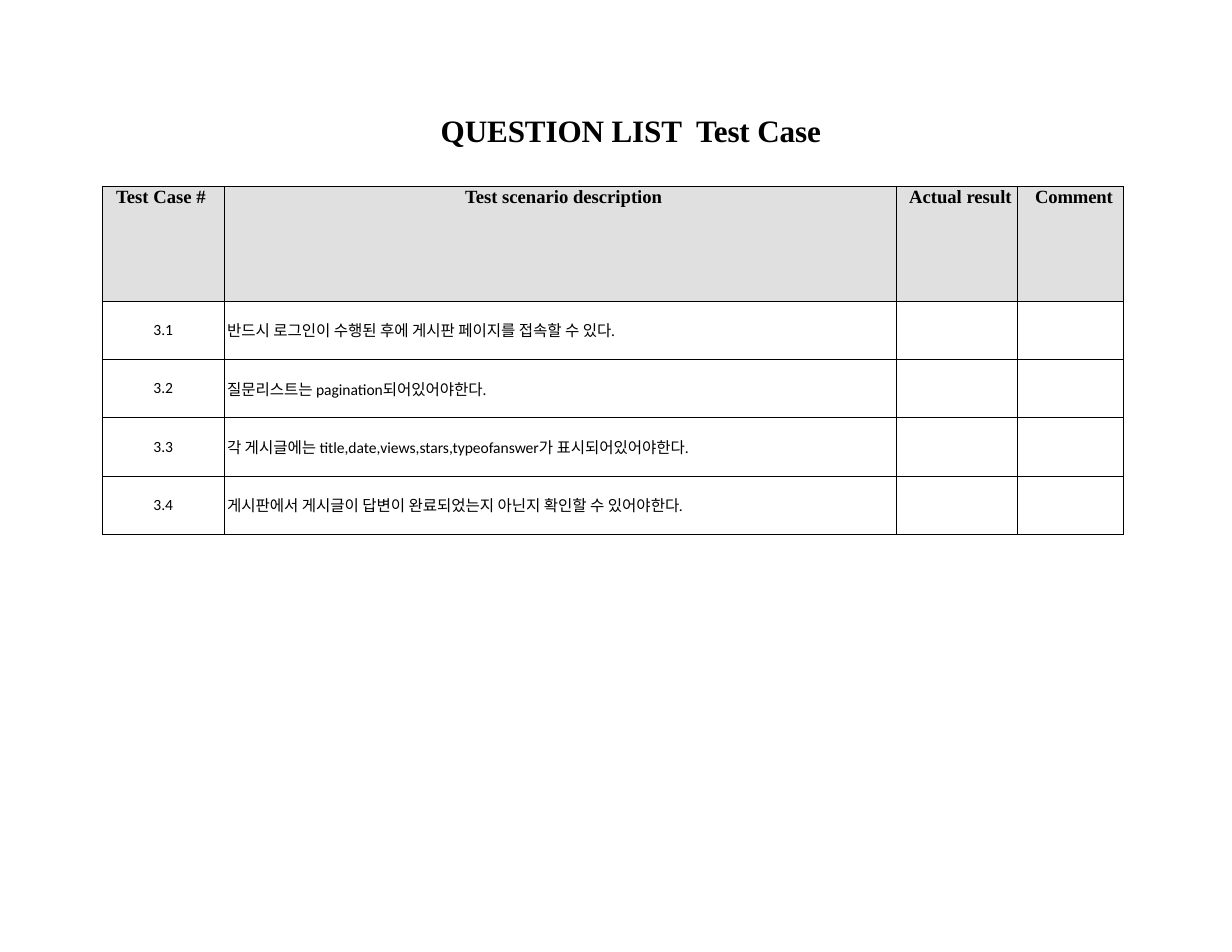
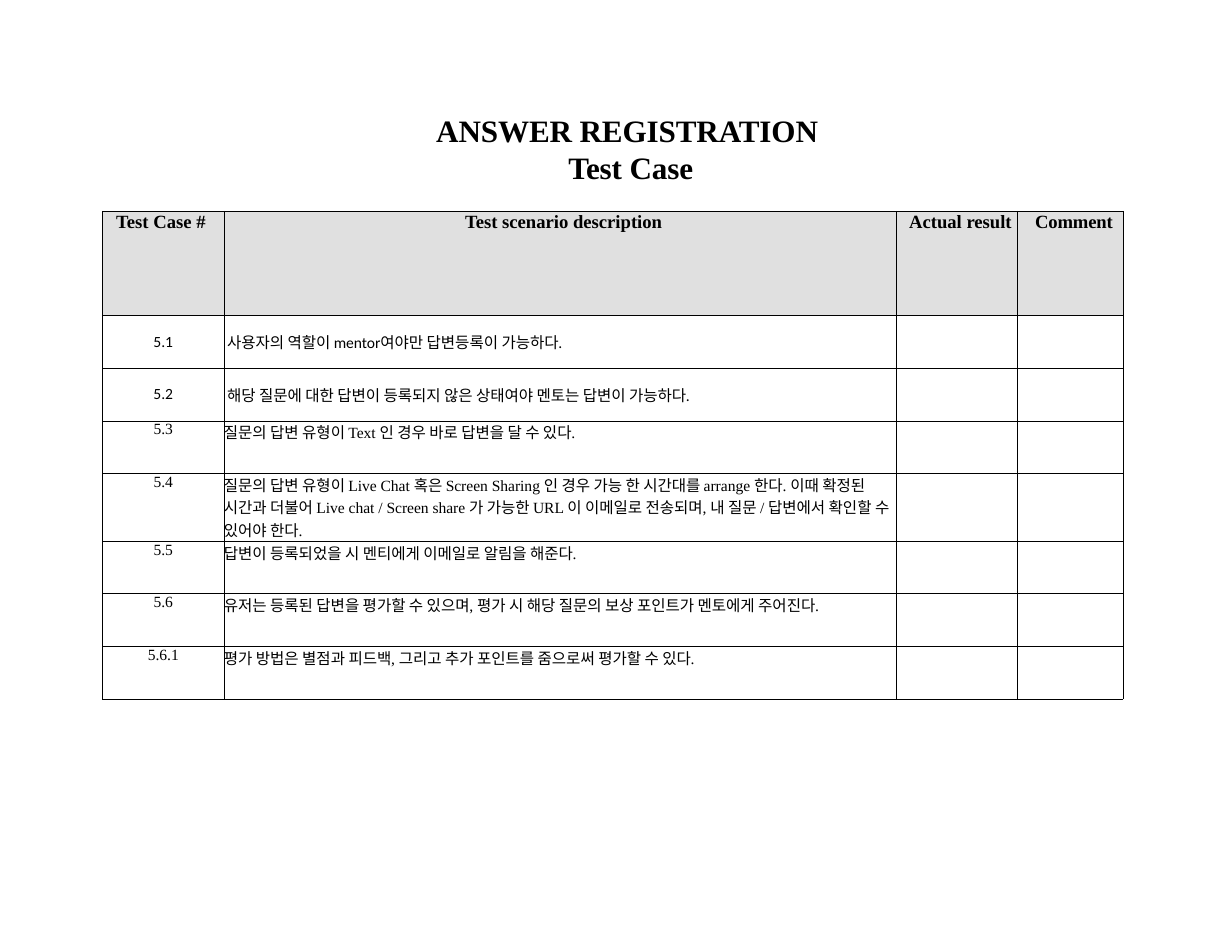
"""Builds two test case slides, each with a title and a scenario table."""
from dataclasses import dataclass, field

from lxml.etree import SubElement
from pptx import Presentation
from pptx.dml.color import RGBColor
from pptx.enum.text import MSO_ANCHOR as Anchor, PP_ALIGN as Align
from pptx.oxml.ns import qn
from pptx.slide import Slide
from pptx.table import _Cell as Cell
from pptx.text.text import _Paragraph as Paragraph
from pptx.util import Length, Pt

BLACK = RGBColor(0x00, 0x00, 0x00)
HEADER_GRAY = RGBColor(0xE0, 0xE0, 0xE0)
SERIF = "Times New Roman"
SANS = "Calibri"
BORDER_WIDTH = Pt(0.5)
TABLE_LEFT = Pt(66)
COLUMN_WIDTHS = (Pt(78), Pt(432), Pt(78), Pt(68))
TITLE_BOX = (Pt(270), Pt(70.5), Pt(270), Pt(26))


@dataclass(frozen=True)
class TextStyle:
    font: dict
    paragraph: dict = field(default_factory=dict)
    indent: Length = Pt(0)
    tracking: float = 0


@dataclass(frozen=True)
class CellLayout:
    inset: Length
    anchor: Anchor
    fill: RGBColor | None = None


@dataclass(frozen=True)
class Heading:
    text: str
    style: TextStyle


@dataclass(frozen=True)
class Scenario:
    number: str
    description: str
    height: Length
    font_name: str = SANS


@dataclass(frozen=True)
class TestSheet:
    title: str
    table_top: Length
    header_height: Length
    scenarios: list[Scenario]


HEADING_FONT = {"name": SERIF, "size": Pt(12), "bold": True}
HEADING_LINE = {"alignment": Align.CENTER, "line_spacing": Pt(13.8)}
TITLE_STYLE = TextStyle(
    {"name": SERIF, "size": Pt(20), "bold": True},
    {"alignment": Align.CENTER, "space_before": Pt(0.9)}, Pt(0.9), -0.1)
HEADINGS = (
    Heading("Test Case # ", TextStyle(HEADING_FONT, HEADING_LINE)),
    Heading("Test scenario description", TextStyle(HEADING_FONT, HEADING_LINE, Pt(5))),
    Heading("Actual result", TextStyle(
        HEADING_FONT, HEADING_LINE | {"space_before": Pt(0.3)}, Pt(5))),
    Heading("Comment", TextStyle(HEADING_FONT, HEADING_LINE, Pt(5), -0.1)),
)
HEADER_LAYOUT = CellLayout(Pt(0), Anchor.TOP, HEADER_GRAY)
BODY_LAYOUTS = {
    SANS: CellLayout(Pt(2), Anchor.MIDDLE),
    SERIF: CellLayout(Pt(0), Anchor.TOP),
}

LIST_ROW = Pt(37.5)
ANSWER_ROW = Pt(33.8)
SHEETS = (
    TestSheet("QUESTION LIST  Test Case", Pt(119.8), Pt(73.8), [
        Scenario("3.1", "반드시 로그인이 수행된 후에 게시판 페이지를 접속할 수 있다.", LIST_ROW),
        Scenario("3.2", "질문리스트는 pagination되어있어야한다.", LIST_ROW),
        Scenario("3.3", "각 게시글에는 title,date,views,stars,typeofanswer가 "
                 "표시되어있어야한다.", LIST_ROW),
        Scenario("3.4", "게시판에서 게시글이 답변이 완료되었는지 아닌지 확인할 수 있어야한다.",
                 LIST_ROW),
    ]),
    TestSheet("ANSWER REGISTRATION  Test Case", Pt(135.8), Pt(67.2), [
        Scenario("5.1", "사용자의 역할이 mentor여야만 답변등록이 가능하다.", ANSWER_ROW),
        Scenario("5.2", "해당 질문에 대한 답변이 등록되지 않은 상태여야 멘토는 답변이 가능하다.",
                 ANSWER_ROW),
        Scenario("5.3", "질문의 답변 유형이 Text 인 경우 바로 답변을 달 수 있다.",
                 ANSWER_ROW, SERIF),
        Scenario("5.4", "질문의 답변 유형이 Live Chat 혹은 Screen Sharing 인 경우 가능 한 "
                 "시간대를 arrange 한다. 이때 확정된 시간과 더불어 Live chat / Screen share "
                 "가 가능한 URL 이 이메일로 전송되며, 내 질문 / 답변에서 확인할 수 있어야 한다.",
                 Pt(43.6), SERIF),
        Scenario("5.5", "답변이 등록되었을 시 멘티에게 이메일로 알림을 해준다.",
                 ANSWER_ROW, SERIF),
        Scenario("5.6", "유저는 등록된 답변을 평가할 수 있으며, 평가 시 해당 질문의 보상 "
                 "포인트가 멘토에게 주어진다.", ANSWER_ROW, SERIF),
        Scenario("5.6.1", "평가 방법은 별점과 피드백, 그리고 추가 포인트를 줌으로써 평가할 수 "
                 "있다.", ANSWER_ROW, SERIF),
    ]),
)


def apply_format(target: object, values: dict) -> None:
    for name, value in values.items():
        setattr(target, name, value)


def write_text(paragraph: Paragraph, text: str, style: TextStyle) -> None:
    apply_format(paragraph, style.paragraph)
    properties = paragraph._p.get_or_add_pPr()
    properties.set("marL", str(int(style.indent)))
    properties.set("indent", "0")
    run = paragraph.add_run()
    run.text = text
    apply_format(run.font, style.font)
    run.font.color.rgb = BLACK
    if style.tracking:
        run._r.get_or_add_rPr().set("spc", str(round(style.tracking * 100)))


def add_borders(cell: Cell) -> None:
    properties = cell._tc.get_or_add_tcPr()
    for side in ("lnL", "lnR", "lnT", "lnB"):
        line = SubElement(properties, qn(f"a:{side}"), w=str(int(BORDER_WIDTH)))
        fill = SubElement(line, qn("a:solidFill"))
        SubElement(fill, qn("a:srgbClr"), val=str(BLACK))


def format_cell(cell: Cell, layout: CellLayout) -> None:
    apply_format(cell, {
        "margin_left": layout.inset, "margin_right": layout.inset,
        "margin_top": Pt(0), "margin_bottom": Pt(0),
        "vertical_anchor": layout.anchor,
    })
    add_borders(cell)
    if layout.fill is None:
        cell.fill.background()
    else:
        cell.fill.solid()
        cell.fill.fore_color.rgb = layout.fill


def add_title(slide: Slide, text: str) -> None:
    frame = slide.shapes.add_textbox(*TITLE_BOX).text_frame
    apply_format(frame, {
        "word_wrap": True, "margin_left": Pt(0), "margin_right": Pt(0),
        "margin_top": Pt(0.9), "margin_bottom": Pt(0),
    })
    write_text(frame.paragraphs[0], text, TITLE_STYLE)


def add_test_table(slide: Slide, sheet: TestSheet) -> None:
    heights = [sheet.header_height] + [scenario.height for scenario in sheet.scenarios]
    table = slide.shapes.add_table(
        len(heights), len(COLUMN_WIDTHS), TABLE_LEFT, sheet.table_top,
        Length(sum(COLUMN_WIDTHS)), Length(sum(heights))).table
    apply_format(table, {"first_row": False, "horz_banding": False})
    for column, width in zip(table.columns, COLUMN_WIDTHS):
        column.width = width
    for row, height in zip(table.rows, heights):
        row.height = height

    for cell, heading in zip(table.rows[0].cells, HEADINGS):
        format_cell(cell, HEADER_LAYOUT)
        write_text(cell.text_frame.paragraphs[0], heading.text, heading.style)

    for index, scenario in enumerate(sheet.scenarios, start=1):
        cells = list(table.rows[index].cells)
        for cell in cells:
            format_cell(cell, BODY_LAYOUTS[scenario.font_name])
        font = {"name": scenario.font_name, "size": Pt(10), "bold": False}
        contents = ((scenario.number, Align.CENTER), (scenario.description, Align.LEFT))
        for cell, (text, alignment) in zip(cells, contents):
            style = TextStyle(font, {"alignment": alignment})
            write_text(cell.text_frame.paragraphs[0], text, style)


def main() -> None:
    presentation = Presentation()
    apply_format(presentation, {"slide_width": Pt(792), "slide_height": Pt(612)})
    for sheet in SHEETS:
        slide = presentation.slides.add_slide(presentation.slide_layouts[6])
        add_title(slide, sheet.title)
        add_test_table(slide, sheet)
    presentation.save("out.pptx")


if __name__ == "__main__":
    main()
